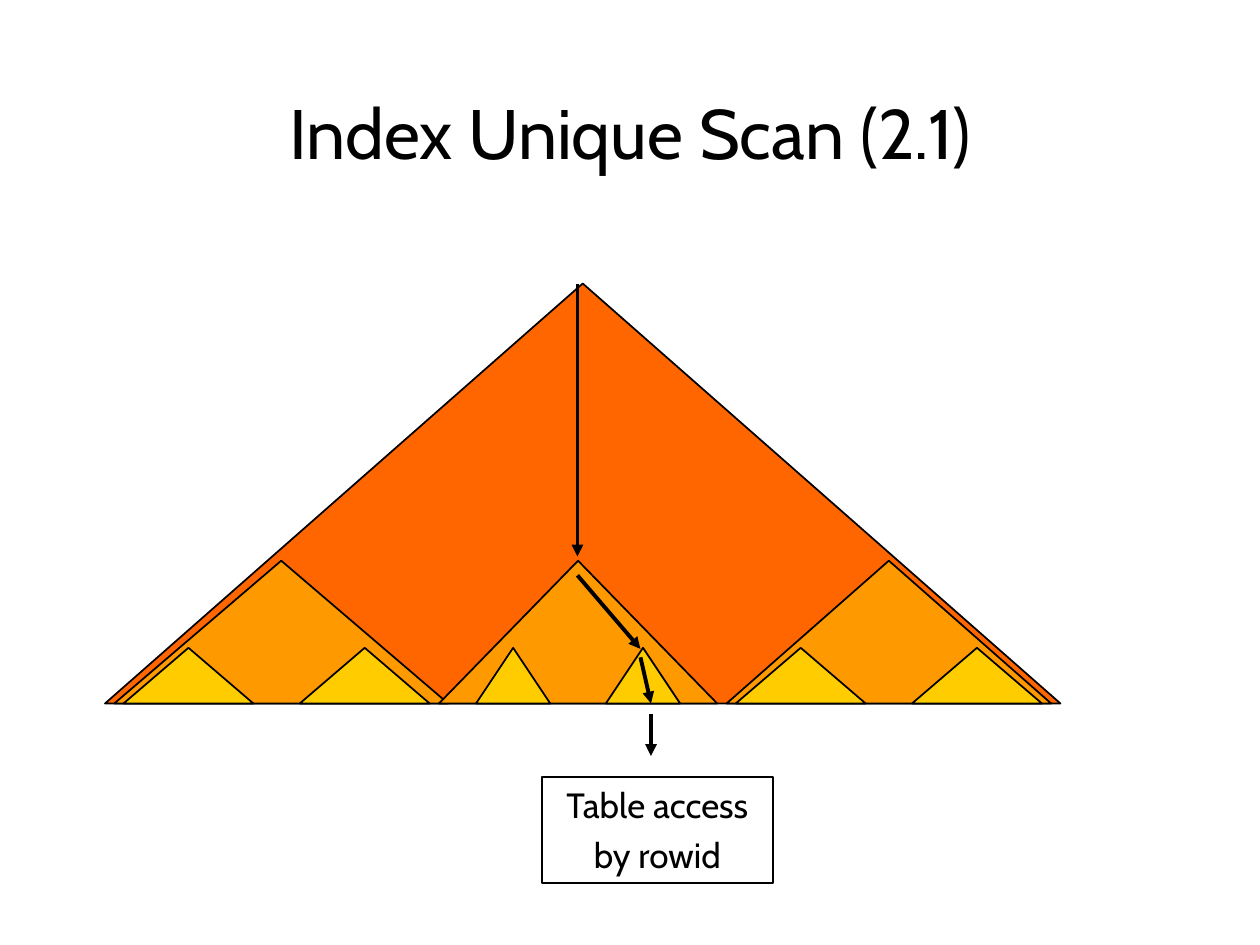
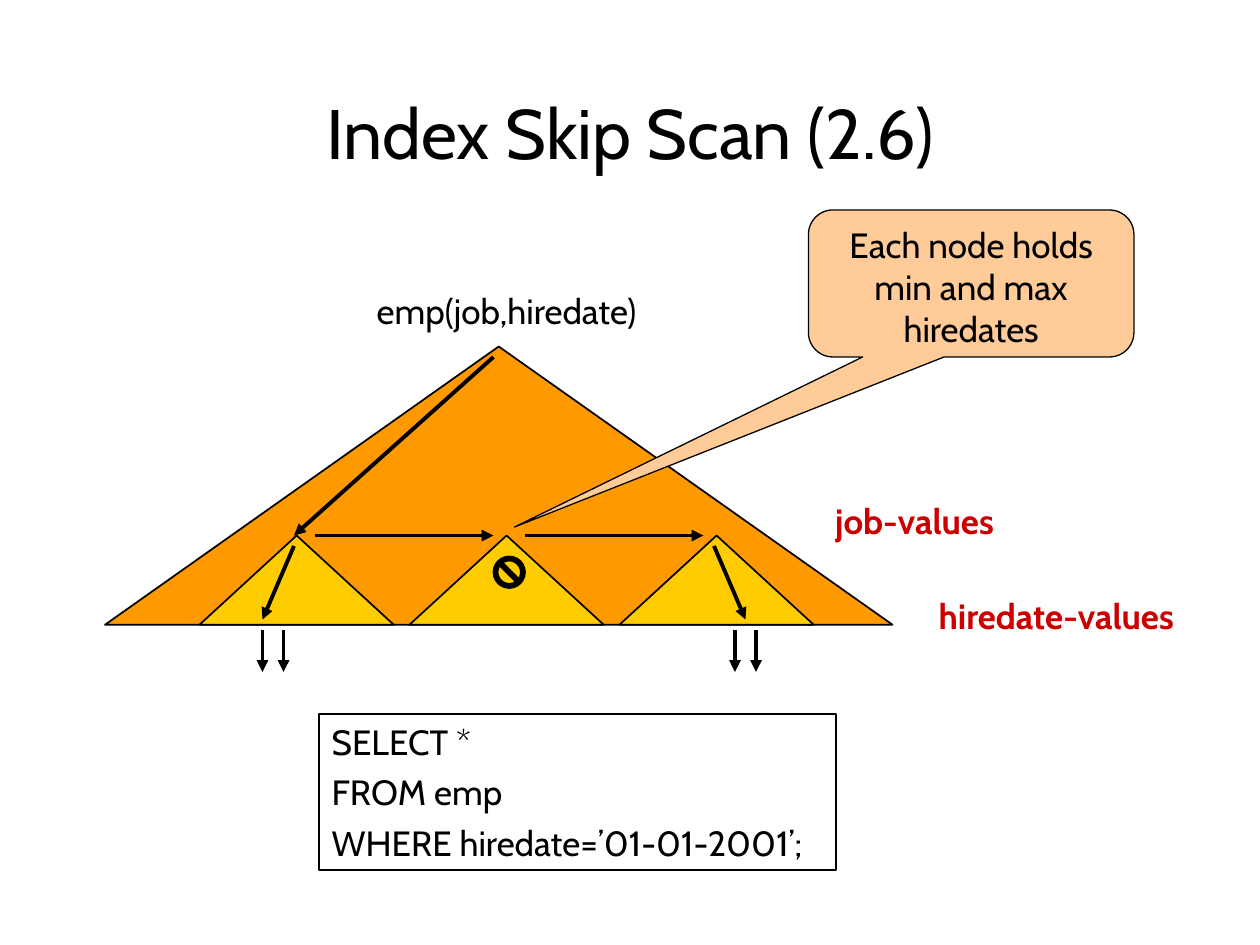
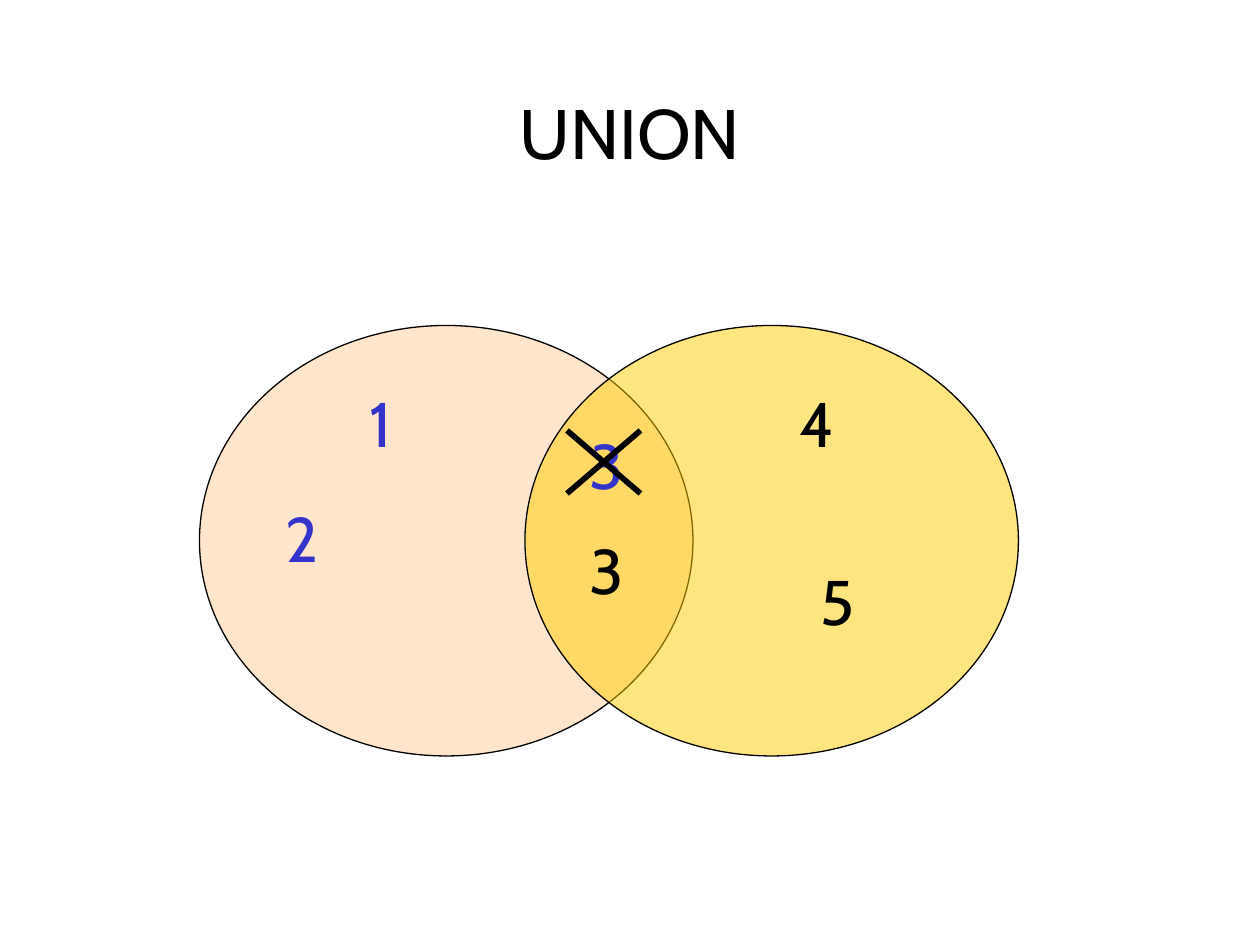
from dataclasses import dataclass

from lxml import etree
from pptx import Presentation
from pptx.dml.color import RGBColor
from pptx.enum.shapes import MSO_CONNECTOR, MSO_SHAPE
from pptx.enum.text import MSO_ANCHOR, PP_ALIGN
from pptx.oxml.ns import qn
from pptx.util import Inches, Pt

FONT = "Cabin"
BLACK = RGBColor(0x00, 0x00, 0x00)
BLUE = RGBColor(0x33, 0x33, 0xCC)
RED = RGBColor(0xCC, 0x00, 0x00)
FLAME = RGBColor(0xFF, 0x66, 0x00)
AMBER = RGBColor(0xFF, 0x99, 0x00)
GOLD = RGBColor(0xFF, 0xCC, 0x00)
PEACH = RGBColor(0xFF, 0xCC, 0x99)

TREE = MSO_SHAPE.FLOWCHART_EXTRACT
RECT = MSO_SHAPE.RECTANGLE
OVAL = MSO_SHAPE.OVAL
BAN = MSO_SHAPE.NO_SYMBOL
CALL = MSO_SHAPE.ROUNDED_RECTANGULAR_CALLOUT
LINE = MSO_CONNECTOR.STRAIGHT
LEFT, MID = PP_ALIGN.LEFT, PP_ALIGN.CENTER
TOP, CENTER = MSO_ANCHOR.TOP, MSO_ANCHOR.MIDDLE


@dataclass
class Grid:
    """A box in inches, cut into columns and rows."""
    left: float
    top: float
    width: float
    height: float
    cols: float
    rows: float

    def point(self, x, y):
        return (self.left + x * self.width / self.cols,
                self.top + y * self.height / self.rows)

    def box(self, x, y, w, h):
        return (*self.point(x, y), w * self.width / self.cols,
                h * self.height / self.rows)

    def inner(self, x, y, w, h, cols=None):
        """A smaller grid, with cells of the same size unless cols is given."""
        return Grid(*self.box(x, y, w, h), cols or w, h)


PAGE = Grid(0, 0, 10, 7.5, 120, 90)


def write(shape, lines, size=20, color=BLACK, bold=False, align=MID,
          anchor=TOP, wrap=False, gap=0):
    frame = shape.text_frame
    frame.word_wrap = wrap
    frame.vertical_anchor = anchor
    for i, line in enumerate(lines):
        para = frame.add_paragraph() if i else frame.paragraphs[0]
        para.alignment = align
        para.space_before = Pt(gap)
        run = para.add_run()
        run.text = line
        font = run.font
        font.name, font.size, font.bold = FONT, Pt(size), bold
        font.color.rgb = color


def label(slide, grid, cell, text, **style):
    box = slide.shapes.add_textbox(*map(Inches, grid.box(*cell)))
    write(box, [text], **style)


def draw(slide, grid, kind, cell, fill=None, weight=1, alpha=None):
    shape = slide.shapes.add_shape(kind, *map(Inches, grid.box(*cell)))
    shape.shadow.inherit = False
    shape.line.color.rgb = BLACK
    shape.line.width = Pt(weight)
    if fill is None:
        shape.fill.background()
    else:
        shape.fill.solid()
        shape.fill.fore_color.rgb = fill
    if alpha:
        color = shape.element.spPr.find(qn("a:solidFill")).find(qn("a:srgbClr"))
        etree.SubElement(color, qn("a:alpha"), val=str(alpha * 1000))
    return shape


def link(slide, grid, start, end, weight=2.25, head=True):
    ends = (*grid.point(*start), *grid.point(*end))
    line = slide.shapes.add_connector(LINE, *map(Inches, ends))
    line.line.color.rgb = BLACK
    line.line.width = Pt(weight)
    props = line.element.spPr
    if head:
        etree.SubElement(props.find(qn("a:ln")), qn("a:tailEnd"), type="triangle")
    etree.SubElement(props, qn("a:effectLst"))


def start(deck, title):
    slide = deck.slides.add_slide(deck.slide_layouts[6])
    label(slide, PAGE, (9, 8, 102, 9), title, size=40, anchor=CENTER, wrap=True)
    return slide


def index(slide, box):
    """Three levels of index blocks, with the way down to one row."""
    base = 40
    grid = PAGE.inner(*box, cols=103)
    levels = [
        (FLAME, 40, [(0, 103)]),
        (AMBER, 13.6, [(1, 36), (36, 30), (67, 35)]),
        (GOLD, 5.3, [(2, 14), (21, 14), (68, 14), (87, 14), (40, 8), (54, 8)]),
    ]
    for fill, high, spans in levels:
        for x, wide in spans:
            draw(slide, grid, TREE, (x, base - high, wide, high), fill)
    cells = PAGE.inner(*box)
    steps = [((45, 0), (45, 26)), ((45, 27.8), (51, 34.8)),
             ((51, 35.6), (52, base)), ((52, 41), (52, 45))]
    for step in steps:
        link(slide, cells, *step)


def skip(slide, box):
    """An index whose middle branch is passed over."""
    grid = PAGE.inner(*box)
    draw(slide, grid, TREE, (0, 0, 75, 26.5), AMBER)
    for i in range(3):
        draw(slide, grid, TREE, (9 + 20 * i, 18, 18.5, 8.5), GOLD)
    ban = draw(slide, grid, BAN, (37, 20, 3, 3), BLACK)
    ban.adjustments[0] = 0.13
    steps = [((37, 1), (18, 18)), ((20, 18), (37, 18)), ((40, 18), (57, 18)),
             ((18, 19), (15, 26)), ((58, 19), (61, 26))]
    steps += [((x, 27), (x, 31)) for x in (15, 17, 60, 62)]
    for step in steps:
        link(slide, grid, *step)
    label(slide, grid, (23, -6, 30.5, 5.3), "emp(job,hiredate)")
    label(slide, grid, (67.4, 14, 19.4, 5.3), "job-values", color=RED, bold=True)
    label(slide, grid, (76.4, 23, 28.4, 5.3), "hiredate-values", color=RED, bold=True)


def note(slide, box, lines, align=MID):
    write(draw(slide, PAGE, RECT, box), lines, align=align, gap=5)


def bubble(slide, box, tip, lines):
    shape = draw(slide, PAGE, CALL, box, PEACH, 0.75)
    x, y, w, h = box
    shape.adjustments[0] = (tip[0] - x) / w - 0.5
    shape.adjustments[1] = (tip[1] - y) / h - 0.5
    write(shape, lines, wrap=True)


def venn(slide, box):
    """Two sets that overlap, with the shared value struck out once."""
    grid = PAGE.inner(*box)
    for x, fill in ((0, PEACH), (31, GOLD)):
        draw(slide, grid, OVAL, (x, 0, 47, 41), fill, 0.75, alpha=50)
    digits = [("3", 36, 19, BLACK), ("3", 36, 9, BLUE), ("5", 58, 22, BLACK),
              ("4", 56, 5, BLACK), ("2", 7, 16, BLUE), ("1", 15, 5, BLUE)]
    for text, x, y, color in digits:
        label(slide, grid, (x, y, 5.8, 8.4), text, size=36, color=color, align=LEFT)
    for a, b in ((35, 42), (42, 35)):
        link(slide, grid, (a, 10), (b, 16), 3.25, head=False)


def main():
    deck = Presentation()
    deck.slide_width, deck.slide_height = Inches(PAGE.width), Inches(PAGE.height)

    slide = start(deck, "Index Unique Scan (2.1)")
    index(slide, (10, 27, 91, 40))
    note(slide, (51.6, 74, 22, 10.1), ["Table access", "by rowid"])

    slide = start(deck, "Index Skip Scan (2.6)")
    skip(slide, (10, 33, 75, 26.5))
    note(slide, (30.4, 68, 49.2, 14.9),
         ["SELECT *", "FROM emp", "WHERE hiredate=’01-01-2001’;"], LEFT)
    bubble(slide, (77, 20, 31, 14), (49, 50.2),
           ["Each node holds min and max", "hiredates"])

    slide = start(deck, "UNION")
    venn(slide, (19, 31, 78, 41))

    deck.save("out.pptx")


if __name__ == "__main__":
    main()
